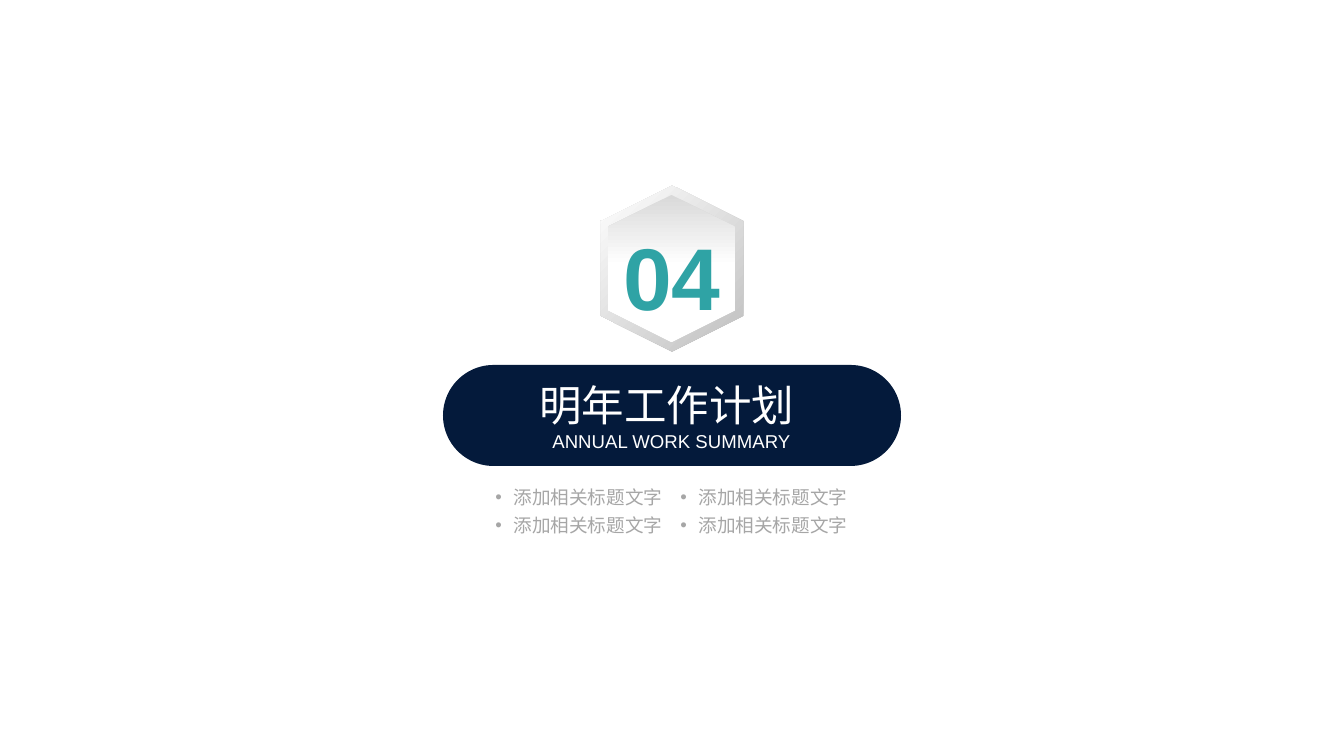
from lxml.etree import SubElement
from pptx import Presentation
from pptx.dml.color import RGBColor
from pptx.enum.shapes import MSO_SHAPE
from pptx.enum.text import MSO_ANCHOR, MSO_AUTO_SIZE, PP_ALIGN
from pptx.oxml.ns import qn
from pptx.util import Pt

PX = 9565  # EMU per px
FONT = "Arial"
COLORS = {
    "navy": "041A3B",
    "teal": "2FA3A5",
    "white": "FFFFFF",
    "text_grey": "A6A6A6",
    "rim_grey": "BFBFBF",
    "face_grey": "D9D9D9",
}


def px(*values):
    return [v * PX for v in values]


def rgb(name):
    return RGBColor.from_string(COLORS[name])


def style_run(r, size, color, bold=False):
    r.font.name = FONT
    r.font.size = Pt(size)
    r.font.bold = bold
    r.font.color.rgb = rgb(color)


def set_frame(tf, wrap=True, anchor=MSO_ANCHOR.TOP):
    tf.margin_left = tf.margin_right = tf.margin_top = tf.margin_bottom = 0
    tf.auto_size = MSO_AUTO_SIZE.NONE
    tf.word_wrap = wrap
    tf.vertical_anchor = anchor


def add_label(shapes, box, text, size, color, bold=False, wrap=True):
    tf = shapes.add_textbox(*px(*box)).text_frame
    set_frame(tf, wrap)
    p = tf.paragraphs[0]
    p.text = text
    p.alignment = PP_ALIGN.CENTER
    style_run(p.runs[0], size, color, bold)
    return p


def add_bullet(p, indent):
    pPr = p._p.get_or_add_pPr()
    pPr.set("marL", str(indent * PX))
    pPr.set("indent", str(-indent * PX))
    SubElement(pPr, qn("a:buFont"), typeface=FONT)
    SubElement(pPr, qn("a:buChar"), char="•")


def add_hexagon(shapes, box, start, end, end_at, angle):
    sp = shapes.add_shape(MSO_SHAPE.HEXAGON, *px(*box))
    sp.rotation = 90
    sp.shadow.inherit = False
    sp.line.fill.background()
    sp.fill.gradient()
    sp.fill.gradient_angle = angle
    for stop, color, at in zip(sp.fill.gradient_stops, (start, end), (0, end_at)):
        stop.color.rgb = rgb(color)
        stop.position = at


def add_pill(shapes, box):
    sp = shapes.add_shape(MSO_SHAPE.ROUNDED_RECTANGLE, *px(*box))
    sp.adjustments[0] = 0.5
    sp.shadow.inherit = False
    sp.fill.solid()
    sp.fill.fore_color.rgb = rgb("navy")
    sp.line.fill.background()
    return sp


def set_title(title, box, text, sizes):
    title.left, title.top, title.width, title.height = px(*box)
    tf = title.text_frame
    set_frame(tf, anchor=MSO_ANCHOR.MIDDLE)
    tf.text = text
    p = tf.paragraphs[0]
    p.alignment = PP_ALIGN.CENTER
    for r, size in zip(p.runs, sizes):
        style_run(r, size, "white")


def main():
    prs = Presentation()
    prs.slide_width, prs.slide_height = px(1344, 756)
    s = prs.slides.add_slide(prs.slide_layouts[5])

    # Section title on the navy pill
    pill = add_pill(s.shapes, (443, 365, 458, 101))
    title = s.shapes.title
    title.element.addprevious(pill.element)
    set_title(title, (539, 379, 265, 74),
              "明年工作计划 \vANNUAL WORK SUMMARY", (32, 14))

    # Two by two topic list
    for row in range(2):
        for col in range(2):
            box = (495 + 185 * col, 486 + 28 * row, 168, 23)
            p = add_label(s.shapes, box, "添加相关标题文字", 14, "text_grey", wrap=False)
            add_bullet(p, 18)

    # Section number badge
    badge = s.shapes.add_group_shape().shapes
    add_hexagon(badge, (589, 197, 166, 143), "rim_grey", "white", 1, 225)
    add_hexagon(badge, (598, 205, 147, 127), "face_grey", "white", 0.48, 0)
    add_label(badge, (614, 223, 116, 101), "04", 66, "teal", bold=True)

    prs.save("out.pptx")


if __name__ == "__main__":
    main()
